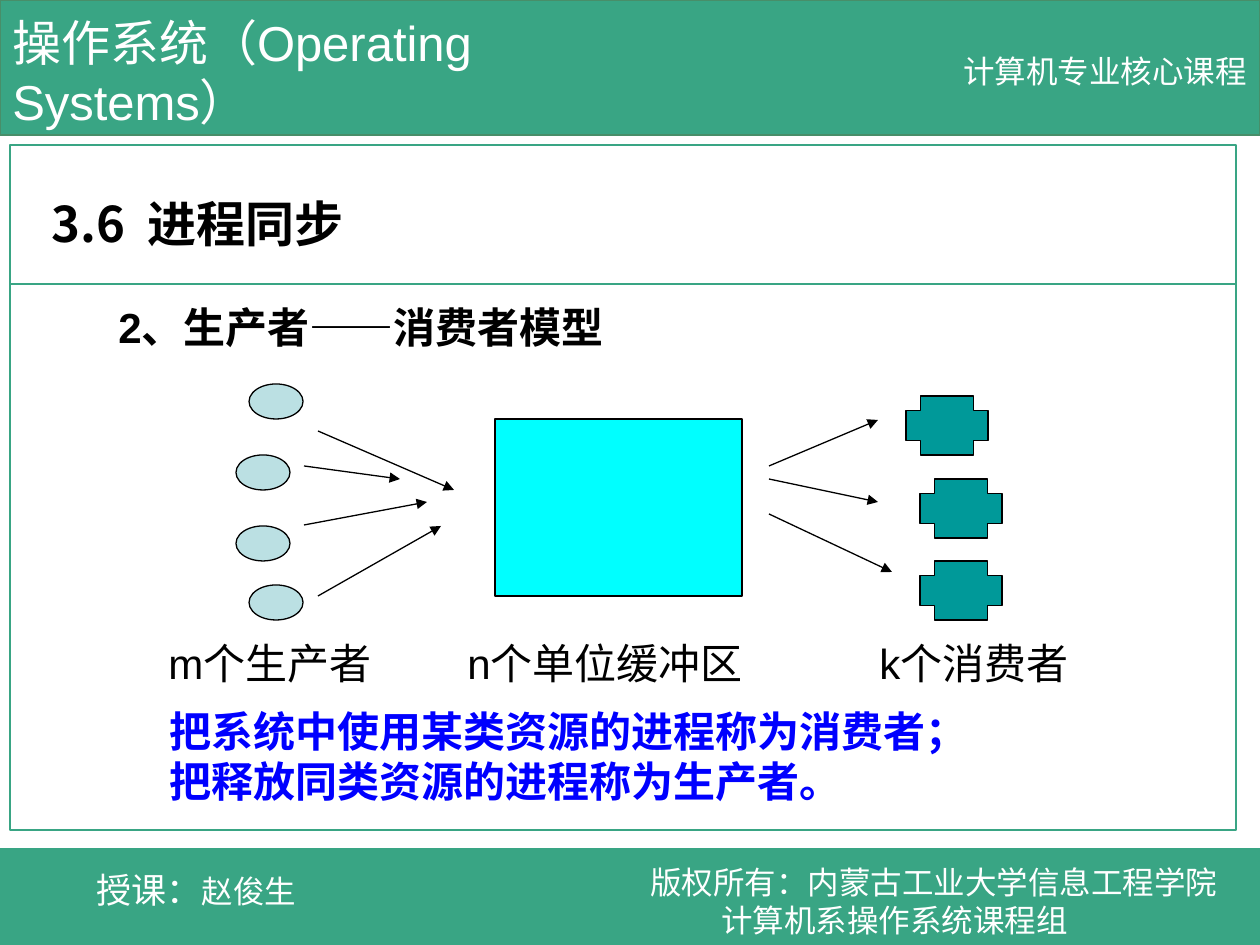
from pptx import Presentation
from pptx.dml.color import RGBColor
from pptx.enum.shapes import MSO_CONNECTOR as Link, MSO_SHAPE as Kind
from pptx.enum.text import MSO_ANCHOR as Anchor, MSO_AUTO_SIZE as Fit, PP_ALIGN as Align
from pptx.oxml.ns import qn
from pptx.util import Emu, Pt
from lxml.etree import SubElement as sub

SCALE = 914400 / 126
GREEN, WHITE, BLACK, BLUE = "39A584", "FFFFFF", "000000", "0000FF"
SANS, CJK = "Arial", "Noto Sans CJK SC"

# kind, fill, line, size, left-top corners
FRAME = [
    (Kind.RECTANGLE, GREEN, "488E69", (1260, 135), [(0, 0)]),
    (Kind.RECTANGLE, GREEN, GREEN, (1260, 96), [(0, 849)]),
    (Kind.RECTANGLE, WHITE, GREEN, (1226, 149), [(10, 145)]),
    (Kind.RECTANGLE, WHITE, GREEN, (1226, 546), [(10, 284)]),
]
MODEL = [
    (Kind.OVAL, "BBE0E3", BLACK, (54, 35),
     [(249, 384), (236, 455), (236, 526), (249, 585)]),
    (Kind.RECTANGLE, "00FFFF", BLACK, (247, 177), [(495, 419)]),
    (Kind.CROSS, "009999", BLACK, (82, 59),
     [(906, 396), (920, 479), (920, 561)]),
]
ARROWS = [
    (318, 431, 454, 490), (304, 466, 400, 479),
    (304, 525, 427, 502), (318, 596, 441, 526),
    (769, 466, 878, 420), (769, 479, 878, 502), (769, 514, 892, 572),
]

# box, lines of (words, size, font) runs, colour, bold, anchor
MID, TOP = Anchor.MIDDLE, Anchor.TOP
TEXTS = [
    ((0, 6, 730, 131), [[("操作系统（Operating Systems）", 28, SANS)]],
     WHITE, False, MID),
    ((951, 45, 309, 51), [[("计算机专业核心课程", 18, SANS)]], WHITE, False, MID),
    ((84, 862, 260, 55), [[("授课：", 20, SANS), ("赵俊生", 18, SANS)]],
     WHITE, False, MID),
    ((638, 857, 622, 88), [[("版权所有：内蒙古工业大学信息工程学院", 18, CJK)],
                           [("计算机系操作系统课程组", 18, CJK)]],
     WHITE, False, MID),
    ((106, 295, 570, 63), [[("2、生产者——消费者模型", 24, SANS)]],
     BLACK, True, TOP),
    ((156, 631, 270, 63), [[("m个生产者", 24, SANS)]], BLACK, False, TOP),
    ((455, 631, 350, 63), [[("n个单位缓冲区", 24, SANS)]], BLACK, False, TOP),
    ((867, 631, 260, 63), [[("k个消费者", 24, SANS)]], BLACK, False, TOP),
]
TITLE = ((39, 187, 605, 72), [[("3.6  ", 28, CJK), ("进程同步", 28, SANS)]],
         BLACK, True, MID)
BODY = ((157, 699, 955, 113),
        [[("把系统中使用某类资源的进程称为消费者；", 24, SANS)],
         [("把释放同类资源的进程称为生产者。", 24, SANS)]],
        BLUE, True, TOP)


def px(*vals):
    return [Emu(round(v * SCALE)) for v in vals]


def rgb(code):
    return RGBColor.from_string(code)


def draw(kind, fill, line, size, spots):
    for spot in spots:
        shape = slide.shapes.add_shape(kind, *px(*spot, *size))
        shape.shadow.inherit = False
        shape.fill.solid()
        shape.fill.fore_color.rgb = rgb(fill)
        shape.line.color.rgb = rgb(line)
        shape.line.width = Pt(0.75)


def arrow(*ends):
    line = slide.shapes.add_connector(Link.STRAIGHT, *px(*ends))
    line.line.color.rgb = rgb(BLACK)
    line.line.width = Pt(0.75)
    sub(line.line._get_or_add_ln(), qn("a:tailEnd"), type="triangle")
    sub(line._element.spPr, qn("a:effectLst"))


def write(shape, box, lines, color, bold, anchor):
    shape.left, shape.top, shape.width, shape.height = px(*box)
    frame = shape.text_frame
    frame.word_wrap = True
    frame.auto_size = Fit.NONE
    frame.vertical_anchor = anchor
    for i, runs in enumerate(lines):
        para = frame.add_paragraph() if i else frame.paragraphs[0]
        para.alignment = Align.LEFT
        para.space_before = Pt(0)
        para.font.bold = bold
        para.font.color.rgb = rgb(color)
        for words, size, font in runs:
            run = para.add_run()
            run.text = words
            run.font.size = Pt(size)
            run.font.name = font


def indent(para, left):
    """Start the whole paragraph at left px, without hanging or bullet."""
    props = para._p.get_or_add_pPr()
    props.set("marL", str(px(left)[0]))
    props.set("indent", "0")
    mark = props.makeelement(qn("a:buNone"))
    props.insert_element_before(mark, "a:tabLst", "a:defRPr", "a:extLst")


deck = Presentation()
deck.slide_width, deck.slide_height = px(1260, 945)
slide = deck.slides.add_slide(deck.slide_layouts[1])
title, body = slide.placeholders

for group in FRAME + MODEL:
    draw(*group)
for ends in ARROWS:
    arrow(*ends)
for item in TEXTS:
    box = slide.shapes.add_textbox(0, 0, 0, 0)
    write(box, *item)
    for para in box.text_frame.paragraphs[1:]:
        indent(para, 71)

for holder, item in ((title, TITLE), (body, BODY)):
    write(holder, *item)
    slide.shapes._spTree.append(holder._element)  # in front of the panels
for para in body.text_frame.paragraphs:
    indent(para, 0)

deck.save("out.pptx")
